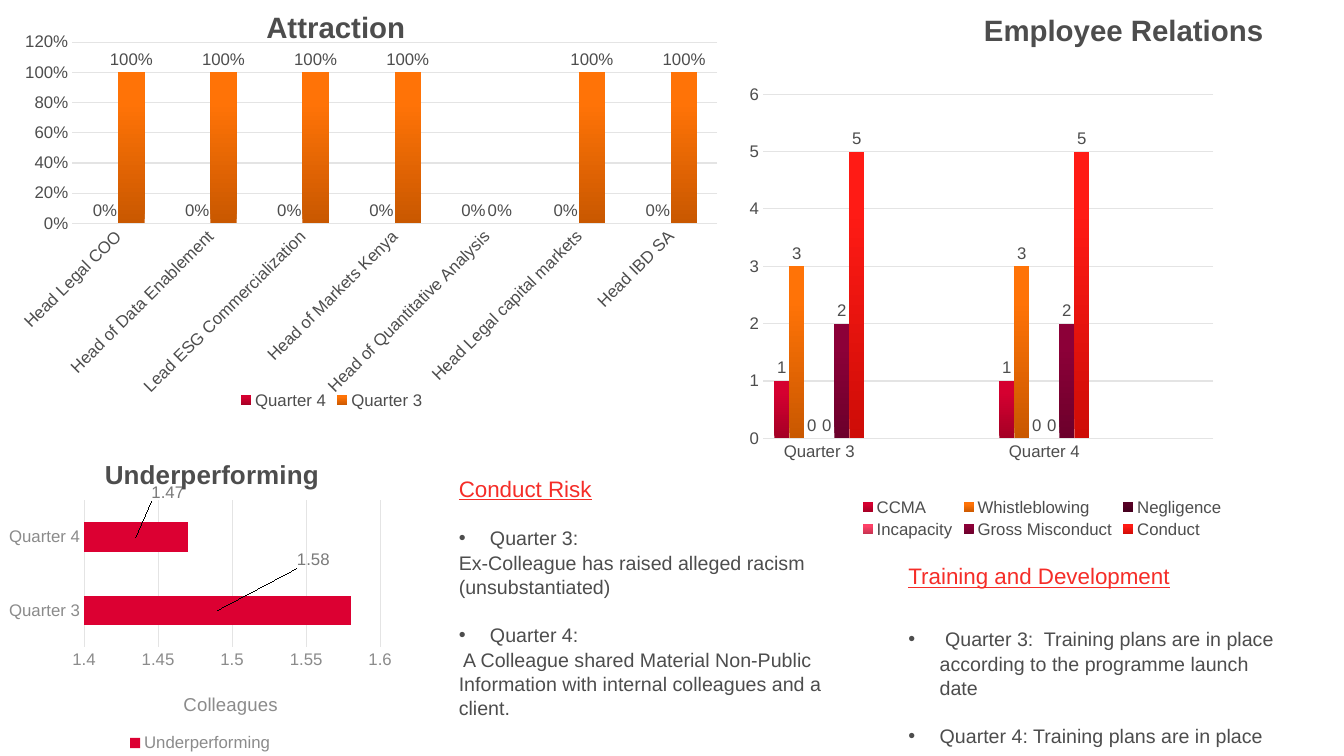
import copy
import dataclasses

import pptx
import pptx.chart.data
import pptx.dml.color
import pptx.enum.chart
import pptx.enum.text
import pptx.oxml
import pptx.oxml.ns
import pptx.util

Inches = pptx.util.Inches
Pt = pptx.util.Pt
ChartType = pptx.enum.chart.XL_CHART_TYPE


@dataclasses.dataclass(frozen=True)
class Theme:
    font: str = "Arial"
    ink: str = "4D4D4D"
    muted: str = "8B8B8B"
    label: str = "7A7A7A"
    grid: str = "E4E4E4"
    heading: str = "F52D28"
    bar: str = "DC0032"
    crimson: tuple = ("A40025", "D50030", "D60031")
    orange: tuple = ("C95800", "FF7307", "FF7408")
    plum: tuple = ("43001D", "570025", "580026")
    pink: tuple = ("C4324F", "FE4167", "FF4268")
    wine: tuple = ("6C002B", "8C0038", "8D0038")
    red: tuple = ("CE0C07", "FF1B15", "FF1C16")
    title_size: float = 21
    small_title_size: float = 18.6
    axis_title_size: float = 13.3
    heading_size: float = 16
    body_size: float = 14
    chart_size: float = 12
    line_gap: float = 16.8


THEME = Theme()


def rgb(colour):
    return pptx.dml.color.RGBColor.from_string(colour)


def style(font, size, colour, bold=False):
    font.name = THEME.font
    font.size = Pt(size)
    font.color.rgb = rgb(colour)
    font.bold = bold


def set_layout(parent, index, position, edge=True, inner=False):
    for old in parent.xpath("./c:layout"):
        parent.remove(old)
    values = [("layoutTarget", "inner")] if inner else []
    values += [("xMode", "edge"), ("yMode", "edge")] if edge else []
    values += zip("xywh", position)
    parts = "".join(f'<c:{name} val="{value}"/>' for name, value in values)
    namespace = pptx.oxml.ns.nsdecls("c")
    parent.insert(index, pptx.oxml.parse_xml(
        f"<c:layout {namespace}><c:manualLayout>{parts}</c:manualLayout></c:layout>"))


def set_title(title, wording, size, colour, position, bold=True):
    title.text_frame.text = wording
    style(title.text_frame.paragraphs[0].runs[0].font, size, colour, bold)
    set_layout(title._element, 1, position)


def fill_series(series, colours):
    fill = series.format.fill
    if isinstance(colours, str):
        fill.solid()
        fill.fore_color.rgb = rgb(colours)
        return
    fill.gradient()
    fill.gradient_angle = 90
    stops = series._element.xpath("./c:spPr/a:gradFill/a:gsLst")[0]
    stops.append(copy.deepcopy(stops[-1]))
    for stop, colour, place in zip(fill.gradient_stops, colours, (0, 0.8, 1)):
        stop.color.rgb = rgb(colour)
        stop.position = place


def add_bars(slide, box, kind, categories, rows, title, title_size, title_at,
             plot_at, scale, number_format="General", colour=THEME.ink,
             label_colour=THEME.ink):
    data = pptx.chart.data.CategoryChartData(number_format=number_format)
    data.categories = categories
    for name, values, _ in rows:
        data.add_series(name, values)
    chart = slide.shapes.add_chart(kind, *map(Inches, box), data).chart
    style(chart.font, 10, THEME.ink)
    chart.has_title = True
    set_title(chart.chart_title, title, title_size, THEME.ink, title_at)
    set_layout(chart._chartSpace.xpath("./c:chart/c:plotArea")[0], 0, plot_at, inner=True)

    chart.has_legend = True
    chart.legend.position = pptx.enum.chart.XL_LEGEND_POSITION.BOTTOM
    chart.legend.include_in_layout = False
    style(chart.legend.font, THEME.chart_size, colour)

    for axis in (chart.category_axis, chart.value_axis):
        axis.major_tick_mark = axis.minor_tick_mark = pptx.enum.chart.XL_TICK_MARK.NONE
        axis.format.line.fill.background()
        style(axis.tick_labels.font, THEME.chart_size, colour)
    chart.category_axis.has_major_gridlines = False
    values_axis = chart.value_axis
    values_axis.minimum_scale, values_axis.maximum_scale, values_axis.major_unit = scale
    values_axis.has_major_gridlines = True
    values_axis.tick_labels.number_format = number_format
    values_axis.tick_labels.number_format_is_linked = False
    grid_lines = [values_axis.major_gridlines.format.line]
    if kind == ChartType.COLUMN_CLUSTERED:
        grid_lines.append(chart.category_axis.format.line)
    for line in grid_lines:
        line.color.rgb = rgb(THEME.grid)
        line.width = Pt(0.75)

    plot = chart.plots[0]
    plot.gap_width = 150
    plot.vary_by_categories = False
    for series, (_, _, colours) in zip(plot.series, rows):
        fill_series(series, colours)
        series.invert_if_negative = False
        labels = series.data_labels
        labels.show_value = True
        labels.number_format = number_format
        labels.number_format_is_linked = False
        style(labels.font, THEME.chart_size, label_colour)
        if kind == ChartType.COLUMN_CLUSTERED:
            labels.position = pptx.enum.chart.XL_LABEL_POSITION.OUTSIDE_END
    return chart


def add_attraction(slide, box):
    roles = ["Head Legal COO", "Head of Data Enablement", "Lead ESG Commercialization",
             "Head of Markets Kenya", "Head of Quantitative Analysis",
             "Head Legal capital markets", "Head IBD SA"]
    rows = [("Quarter 4", [0] * len(roles), THEME.crimson),
            ("Quarter 3", [1, 1, 1, 1, 0, 1, 1], THEME.orange)]
    chart = add_bars(slide, box, ChartType.COLUMN_CLUSTERED, roles, rows, "Attraction",
                     THEME.title_size, (0.41, 0.05), (0.17, 0.14, 0.82, 0.42),
                     (0, 1.2, 0.2), "0%")
    body = chart.category_axis._element.xpath("./c:txPr/a:bodyPr")[0]
    body.set("rot", "-2700000")
    body.set("vert", "horz")


def add_employee_relations(slide, box):
    cases = [("CCMA", 1, THEME.crimson), ("Whistleblowing", 3, THEME.orange),
             ("Negligence", 0, THEME.plum), ("Incapacity", 0, THEME.pink),
             ("Gross Misconduct", 2, THEME.wine), ("Conduct", 5, THEME.red)]
    rows = [(name, [count, None, count, None], colours) for name, count, colours in cases]
    add_bars(slide, box, ChartType.COLUMN_CLUSTERED, ["Quarter 3", "", "Quarter 4", ""],
             rows, "Employee Relations", THEME.title_size, (0.4, 0.02),
             (0.06, 0.18, 0.71, 0.63), (0, 6, 1))


def add_underperforming(slide, box):
    rows = [("Underperforming", [1.58, 1.47], THEME.bar)]
    chart = add_bars(slide, box, ChartType.BAR_STACKED, ["Quarter 3", "Quarter 4"], rows,
                     "Underperforming", THEME.small_title_size, (0.25, 0.05),
                     (0.21, 0.2, 0.74, 0.46), (1.4, 1.6, 0.05),
                     colour=THEME.muted, label_colour=THEME.label)
    chart.plots[0].overlap = 100
    set_title(chart.value_axis.axis_title, "Colleagues", THEME.axis_title_size,
              THEME.muted, (0.45, 0.79), bold=False)
    series = chart.plots[0].series[0]
    for index, offset in enumerate([(0.24, -0.16), (0.08, -0.14)]):
        style(series.points[index].data_label.font, THEME.chart_size, THEME.label)
        label = series._element.xpath(f"./c:dLbls/c:dLbl[c:idx/@val='{index}']")[0]
        set_layout(label, 1, offset, edge=False)


def set_bullet(paragraph, bulleted):
    properties = paragraph._p.get_or_add_pPr()
    indent = Inches(0.31) if bulleted else 0
    properties.set("marL", str(indent))
    properties.set("indent", str(-indent))
    namespace = pptx.oxml.ns.nsdecls("a")
    marks = ['<a:buFont {} typeface="Arial"/>', '<a:buChar {} char="•"/>']
    for mark in marks if bulleted else ["<a:buNone {}/>"]:
        properties.append(pptx.oxml.parse_xml(mark.format(namespace)))


def add_notes_list(placeholder, box, heading, items):
    placeholder.left, placeholder.top, placeholder.width, placeholder.height = map(Inches, box)
    frame = placeholder.text_frame
    frame.word_wrap = True
    frame.auto_size = pptx.enum.text.MSO_AUTO_SIZE.NONE
    frame.vertical_anchor = pptx.enum.text.MSO_ANCHOR.TOP
    frame.margin_left = frame.margin_top = frame.margin_right = frame.margin_bottom = 0
    for number, (wording, bulleted, gap) in enumerate([(heading, False, 0), *items]):
        paragraph = frame.add_paragraph() if number else frame.paragraphs[0]
        paragraph.text = wording
        set_bullet(paragraph, bulleted)
        paragraph.alignment = pptx.enum.text.PP_ALIGN.LEFT
        paragraph.space_before = Pt(gap)
        paragraph.space_after = Pt(0)
        paragraph.line_spacing = 1.04
        font = paragraph.runs[0].font
        style(font, THEME.body_size if number else THEME.heading_size,
              THEME.ink if number else THEME.heading)
        font.underline = number == 0


def main():
    deck = pptx.Presentation()
    deck.slide_width, deck.slide_height = Inches(13.33), Inches(7.5)
    slide = deck.slides.add_slide(deck.slide_layouts[3])
    unused_title, conduct_risk, training = list(slide.placeholders)[:3]
    unused_title._element.getparent().remove(unused_title._element)

    add_attraction(slide, (-0.61, -0.18, 7.8, 4.28))
    add_underperforming(slide, (0, 4.33, 3.97, 3.17))
    add_employee_relations(slide, (7.19, -0.04, 6.29, 5.42))
    gap = THEME.line_gap
    add_notes_list(conduct_risk, (4.55, 4.7, 3.89, 3.17), "Conduct Risk", [
        ("Quarter 3:", True, gap),
        ("Ex-Colleague has raised alleged racism (unsubstantiated)", False, 0),
        ("Quarter 4:", True, gap),
        (" A Colleague shared Material Non-Public Information with internal "
         "colleagues and a client.", False, 0)])
    add_notes_list(training, (9.01, 5.57, 3.74, 2.43), "Training and Development", [
        (" Quarter 3:  Training plans are in place according to the programme "
         "launch date", True, gap + 9.6),
        ("Quarter 4: Training plans are in place", True, gap)])
    deck.save("out.pptx")


if __name__ == "__main__":
    main()
